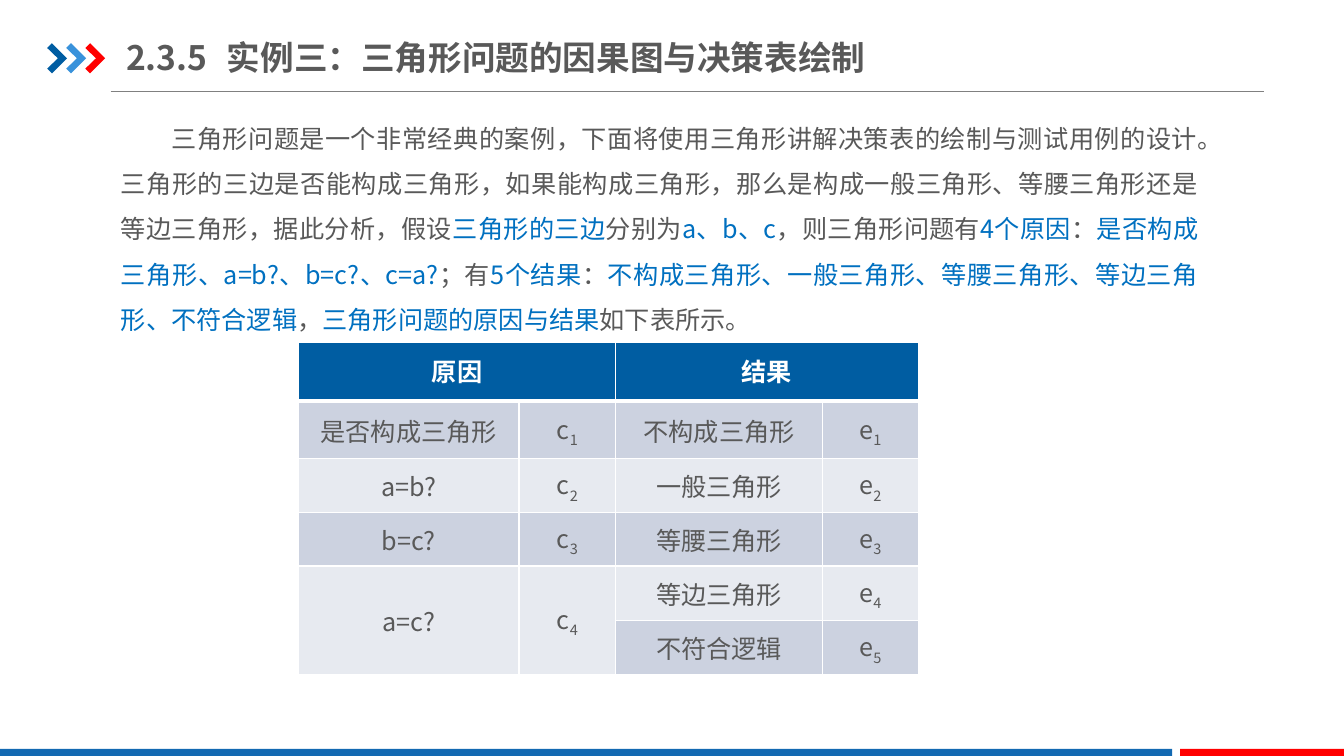
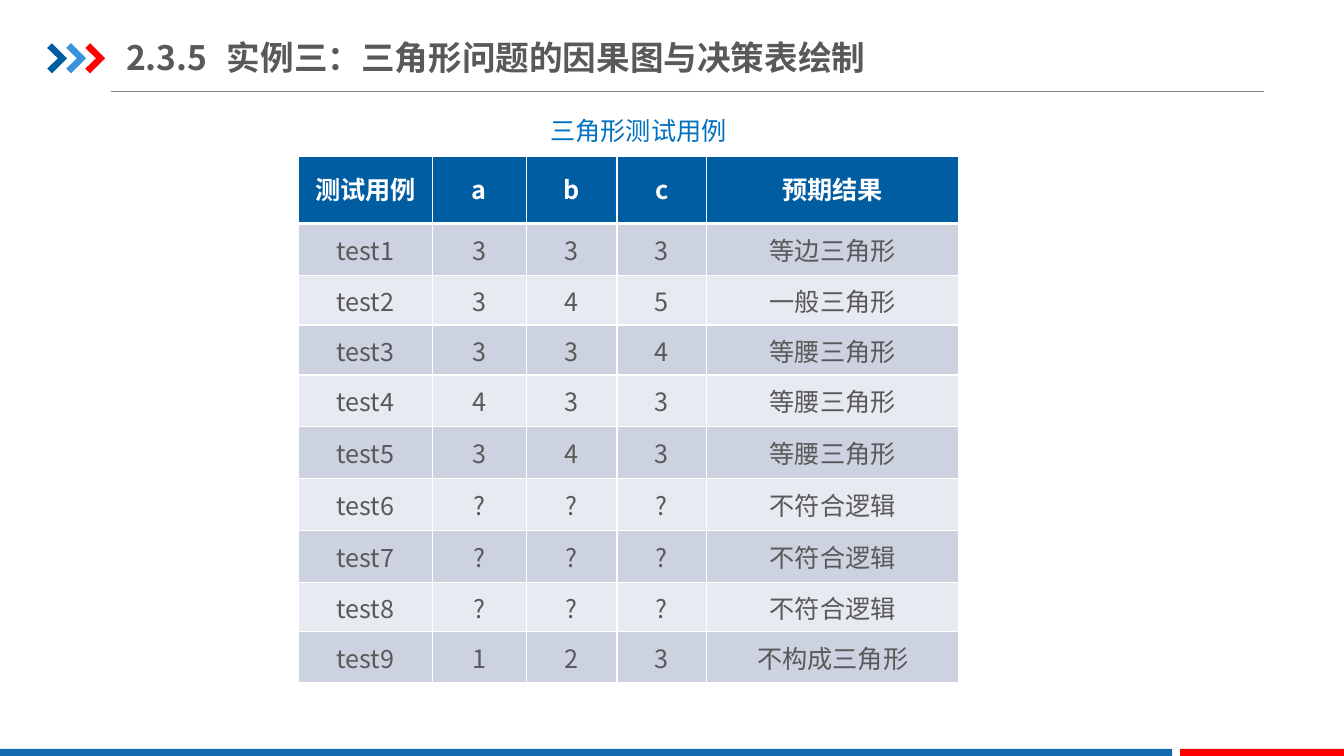
"""Build two slides on the cause table and test cases of the triangle problem."""
from dataclasses import dataclass

from lxml.etree import SubElement
from pptx import Presentation
from pptx.dml.color import RGBColor
from pptx.enum.shapes import MSO_CONNECTOR as Connector, MSO_SHAPE as Shape
from pptx.enum.text import MSO_ANCHOR as Anchor, PP_ALIGN as Align
from pptx.oxml.ns import qn
from pptx.util import Cm, Pt

FONT = "Noto Sans CJK SC"
COLORS = {
    "text": "595959", "accent": "0070C0", "white": "FFFFFF", "rule": "808080",
    "navy": "005DA2", "sky": "3992DB", "red": "FF0000", "footer": "1369B2",
    "stripe_dark": "CCD2E0", "stripe_light": "E7EAF0",
}
CHEVRON = [(0, 0.12), (0.12, 0), (0.5, 0.38), (0.12, 0.76), (0, 0.64), (0.27, 0.38)]
CHEVRON_STEP = 0.48
TITLE = "2.3.5\t实例三：三角形问题的因果图与决策表绘制"


@dataclass(frozen=True)
class Span:
    text: str
    color: str = "text"
    size: int = 18
    bold: bool = False
    subscript: bool = False


@dataclass(frozen=True)
class Area:
    left: float
    top: float
    width: float
    height: float

    def lengths(self) -> list:
        return [Cm(n) for n in (self.left, self.top, self.width, self.height)]


@dataclass(frozen=True)
class Grid:
    left: float
    top: float
    columns: list
    rows: list
    texts: list
    merges: tuple = ()


FOOTERS = [(Area(0, 18.87, 29.54, 0.18), "footer"),
           (Area(29.74, 18.87, 4.13, 0.18), "red")]

INTRO = [
    "三角形问题是一个非常经典的案例，下面将使用三角形讲解决策表的绘制与测试用例的设计。"
    "三角形的三边是否能构成三角形，如果能构成三角形，那么是构成一般三角形、等腰三角形"
    "还是等边三角形，据此分析，假设",
    "三角形的三边", "分别为", "a、b、c", "，则三角形问题有", "4个原因", "：",
    "是否构成三角形、a=b?、b=c?、c=a?", "；有", "5个结果", "：",
    "不构成三角形、一般三角形、等腰三角形、等边三角形、不符合逻辑", "，",
    "三角形问题的原因与结果", "如下表所示。",
]

CAUSES = Grid(
    7.52, 8.64, [5.56, 2.44, 5.21, 2.41], [1.47, 1.45, 1.35, 1.35, 1.37, 1.37],
    [["原因", "", "结果", ""],
     ["是否构成三角形", "c_1", "不构成三角形", "e_1"],
     ["a=b?", "c_2", "一般三角形", "e_2"],
     ["b=c?", "c_3", "等腰三角形", "e_3"],
     ["a=c?", "c_4", "等边三角形", "e_4"],
     ["", "", "不符合逻辑", "e_5"]],
    ((0, 0, 0, 1), (0, 2, 0, 3), (4, 0, 5, 0), (4, 1, 5, 1)),
)

CASES = Grid(
    7.52, 3.94, [3.38, 2.36, 2.29, 2.26, 6.35],
    [1.69, 1.31, 1.25, 1.26, 1.29, 1.31, 1.31, 1.31, 1.25, 1.29],
    [["测试用例", "a", "b", "c", "预期结果"],
     ["test1", "3", "3", "3", "等边三角形"],
     ["test2", "3", "4", "5", "一般三角形"],
     ["test3", "3", "3", "4", "等腰三角形"],
     ["test4", "4", "3", "3", "等腰三角形"],
     ["test5", "3", "4", "3", "等腰三角形"],
     ["test6", "?", "?", "?", "不符合逻辑"],
     ["test7", "?", "?", "?", "不符合逻辑"],
     ["test8", "?", "?", "?", "不符合逻辑"],
     ["test9", "1", "2", "3", "不构成三角形"]],
)


def rgb(name: str) -> RGBColor:
    return RGBColor.from_string(COLORS[name])


def add_spans(para, spans: list) -> None:
    for span in spans:
        run = para.add_run()
        run.text = span.text
        font = run.font
        font.size, font.bold, font.name = Pt(span.size), span.bold, FONT
        font.color.rgb = rgb(span.color)
        properties = run._r.get_or_add_rPr()
        SubElement(properties, qn("a:ea")).set("typeface", FONT)
        if span.subscript:
            properties.set("baseline", "-25000")


def add_text(page, area: Area, spans: list, inset: float = 0.33):
    box = page.shapes.add_textbox(*area.lengths())
    frame = box.text_frame
    frame.word_wrap = True
    frame.margin_left = frame.margin_right = Cm(inset)
    frame.margin_top = frame.margin_bottom = Cm(0.18)
    add_spans(frame.paragraphs[0], spans)
    return frame


def add_body(page, area: Area, spans: list, indent: float = 0) -> None:
    para = add_text(page, area, spans).paragraphs[0]
    para.alignment, para.line_spacing = Align.JUSTIFY, 1.5
    para._p.get_or_add_pPr().set("indent", str(Cm(indent)))


def paint(shape, color: str) -> None:
    shape.shadow.inherit = False
    shape.fill.solid()
    shape.fill.fore_color.rgb = rgb(color)
    shape.line.fill.background()


def add_page(deck):
    page = deck.slides.add_slide(deck.slide_layouts[6])
    rule = page.shapes.add_connector(
        Connector.STRAIGHT, Cm(2.79), Cm(2.31), Cm(31.85), Cm(2.31))
    rule.line.color.rgb, rule.line.width = rgb("rule"), Pt(0.75)
    SubElement(rule._element.spPr, qn("a:effectLst"))
    for index, color in enumerate(("navy", "sky", "red")):
        points = [(Cm(1.19 + index * CHEVRON_STEP + x), Cm(1.09 + y)) for x, y in CHEVRON]
        builder = page.shapes.build_freeform(*points[0])
        builder.add_line_segments(points[1:], close=True)
        paint(builder.convert_to_shape(), color)
    for area, color in FOOTERS:
        paint(page.shapes.add_shape(Shape.RECTANGLE, *area.lengths()), color)
    heading = [Span(TITLE, size=24, bold=True)]
    frame = add_text(page, Area(3.18, 0.74, 19.48, 1.4), heading, inset=0)
    frame.vertical_anchor = Anchor.MIDDLE
    return page


def add_borders(cell, top: float, bottom: float) -> None:
    properties = cell._tc.get_or_add_tcPr()
    for side, width in (("L", 1), ("R", 1), ("T", top), ("B", bottom)):
        line = SubElement(properties, qn(f"a:ln{side}"), w=str(Pt(width)))
        fill = SubElement(line, qn("a:solidFill"))
        SubElement(fill, qn("a:srgbClr"), val=COLORS["white"])


def fill_cell(cell, text: str, row: int) -> None:
    header = row == 0
    add_borders(cell, top=3 if row == 1 else 1, bottom=3 if header else 1)
    cell.fill.solid()
    stripe = "stripe_dark" if row % 2 else "stripe_light"
    cell.fill.fore_color.rgb = rgb("navy" if header else stripe)
    cell.vertical_anchor = Anchor.MIDDLE
    if not text:
        return
    para = cell.text_frame.paragraphs[0]
    para.alignment = Align.CENTER
    if header:
        para.line_spacing = 0.9
    color = "white" if header else "text"
    base, _, index = text.partition("_")
    spans = [Span(base, color, bold=header)]
    if index:
        spans.append(Span(index, color, subscript=True))
    add_spans(para, spans)


def add_grid(page, grid: Grid) -> None:
    area = Area(grid.left, grid.top, sum(grid.columns), sum(grid.rows))
    table = page.shapes.add_table(
        len(grid.rows), len(grid.columns), *area.lengths()).table
    for column, width in zip(table.columns, grid.columns):
        column.width = Cm(width)
    for row, height in zip(table.rows, grid.rows):
        row.height = Cm(height)
    for top, left, bottom, right in grid.merges:
        table.cell(top, left).merge(table.cell(bottom, right))
    for row, texts in enumerate(grid.texts):
        for column, text in enumerate(texts):
            fill_cell(table.cell(row, column), text, row)


def main() -> None:
    deck = Presentation()
    deck.slide_width, deck.slide_height = Cm(33.87), Cm(19.05)

    page = add_page(deck)
    intro = [Span(text, "accent" if index % 2 else "text")
             for index, text in enumerate(INTRO)]
    add_body(page, Area(2.72, 2.54, 27.81, 6.1), intro, indent=1.27)
    add_grid(page, CAUSES)

    page = add_page(deck)
    add_body(page, Area(13.54, 2.34, 6.17, 1.85), [Span("三角形测试用例", "accent")])
    add_grid(page, CASES)

    deck.save("out.pptx")


if __name__ == "__main__":
    main()
